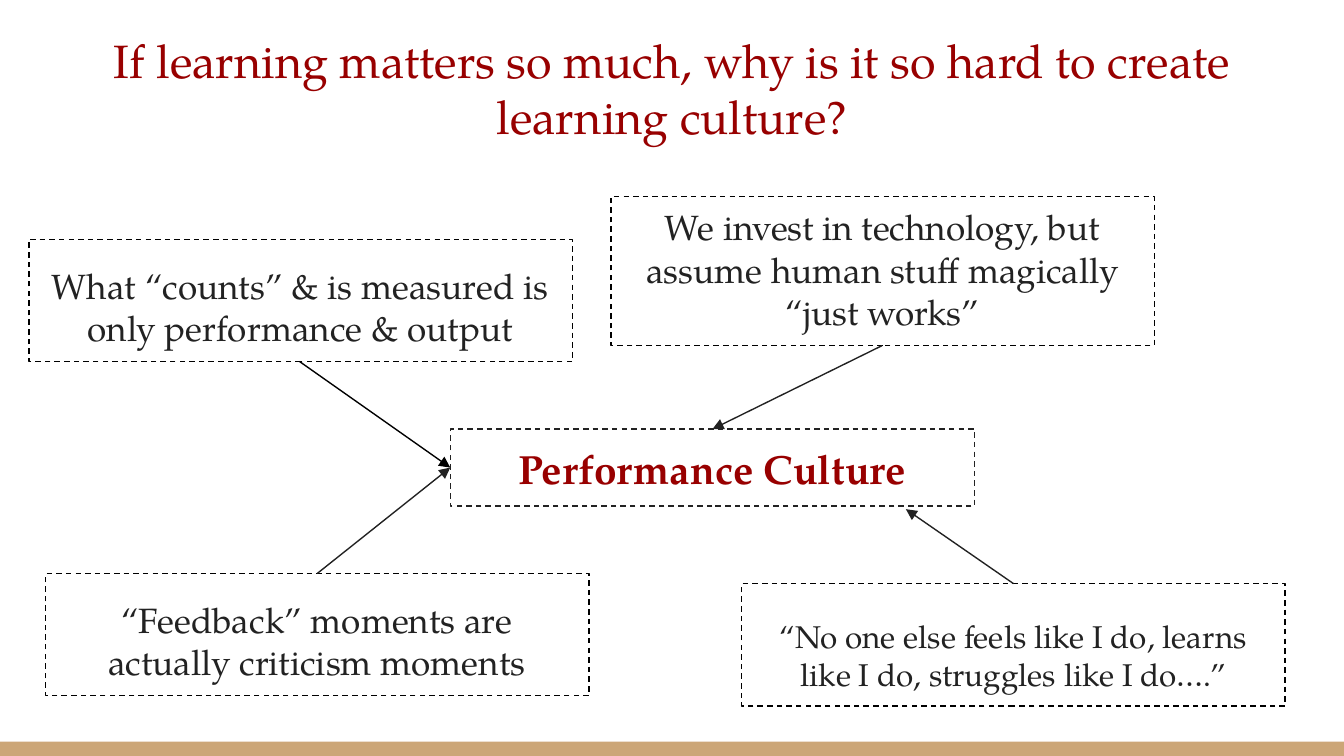
from typing import NamedTuple

from lxml import etree
from pptx import Presentation
from pptx import util as u
from pptx.dml.color import RGBColor
from pptx.enum import dml, shapes, text
from pptx.oxml import ns

FONT = "TeX Gyre Pagella"
RED, INK, BLACK, TAN = "980000", "222222", "000000", "CCA677"
WIDE, TALL = 720, 405


class Box(NamedTuple):
    words: str
    left: float
    top: float
    width: float = 291
    height: float = 65.5
    size: float = 18.8
    color: str = INK
    bold: bool = False
    edge: str | None = BLACK


class Arrow(NamedTuple):
    start: tuple[float, float]
    end: tuple[float, float]
    color: str = INK


def rgb(code: str) -> RGBColor:
    return RGBColor.from_string(code)


def apply(target, form: dict) -> None:
    for name, value in form.items():
        setattr(target, name, value)


def draw_box(tree, box: Box) -> None:
    area = map(u.Pt, (box.left, box.top, box.width, box.height))
    shape = tree.add_shape(shapes.MSO_SHAPE.RECTANGLE, *area)
    shape.shadow.inherit = False
    shape.fill.background()
    if box.edge:
        shape.line.color.rgb = rgb(box.edge)
        apply(shape.line, {"width": u.Pt(0.75),
                           "dash_style": dml.MSO_LINE.DASH})
    else:
        shape.line.fill.background()

    frame = shape.text_frame
    sides = ("left", "top", "right", "bottom")
    apply(frame, {f"margin_{side}": u.Pt(7.2) for side in sides})
    apply(frame, {"word_wrap": True,
                  "vertical_anchor": text.MSO_ANCHOR.BOTTOM})
    para = frame.paragraphs[0]
    para.alignment = text.PP_ALIGN.CENTER
    run = para.add_run()
    run.text = box.words
    apply(run.font, {"name": FONT, "size": u.Pt(box.size), "bold": box.bold})
    run.font.color.rgb = rgb(box.color)


def draw_arrow(tree, arrow: Arrow) -> None:
    ends = map(u.Pt, (*arrow.start, *arrow.end))
    link = tree.add_connector(shapes.MSO_CONNECTOR.STRAIGHT, *ends)
    link.line.width = u.Pt(0.75)
    link.line.color.rgb = rgb(arrow.color)
    tip = etree.SubElement(link.line._get_or_add_ln(), ns.qn("a:tailEnd"))
    tip.set("type", "triangle")
    etree.SubElement(link._element.spPr, ns.qn("a:effectLst"))


def draw_band(tree) -> None:
    band = tree.add_shape(shapes.MSO_SHAPE.RECTANGLE, 0, u.Pt(397.3),
                          u.Pt(WIDE), u.Pt(TALL - 397.3))
    band.shadow.inherit = False
    band.fill.solid()
    band.fill.fore_color.rgb = rgb(TAN)
    band.line.fill.background()


# Title, central idea and its four causes
BOXES = [
    Box("If learning matters so much, why is it so hard to create "
        "learning culture?", 24.5, 18.7, 671, size=25, color=RED, edge=None),
    Box("We invest in technology, but assume human stuff magically "
        "“just works”", 327.4, 105.2, height=80),
    Box("Performance Culture", 241.2, 229.9, 281, 41.2, 21.8, RED, True, INK),
    Box("What “counts” & is measured is only performance & output",
        15.6, 128.2),
    Box("“Feedback” moments are actually criticism moments", 24.5, 307.2),
    Box("“No one else feels like I do, learns like I do, "
        "struggles like I do….”", 397.4, 312.7, size=16.8),
]

# Causes pointing at the central idea
HUB = (241.2, 250.5)
ARROWS = [
    Arrow((472.5, 185.2), (381.7, 229.9)),
    Arrow((160.5, 193.7), HUB, BLACK),
    Arrow((170, 307.2), HUB),
    Arrow((543, 312.7), (485.3, 272.8)),
]


def main() -> None:
    deck = Presentation()
    apply(deck, {"slide_width": u.Pt(WIDE), "slide_height": u.Pt(TALL)})
    tree = deck.slides.add_slide(deck.slide_layouts[6]).shapes
    draw_band(tree)
    for box in BOXES:
        draw_box(tree, box)
    for arrow in ARROWS:
        draw_arrow(tree, arrow)
    deck.save("out.pptx")


if __name__ == "__main__":
    main()
